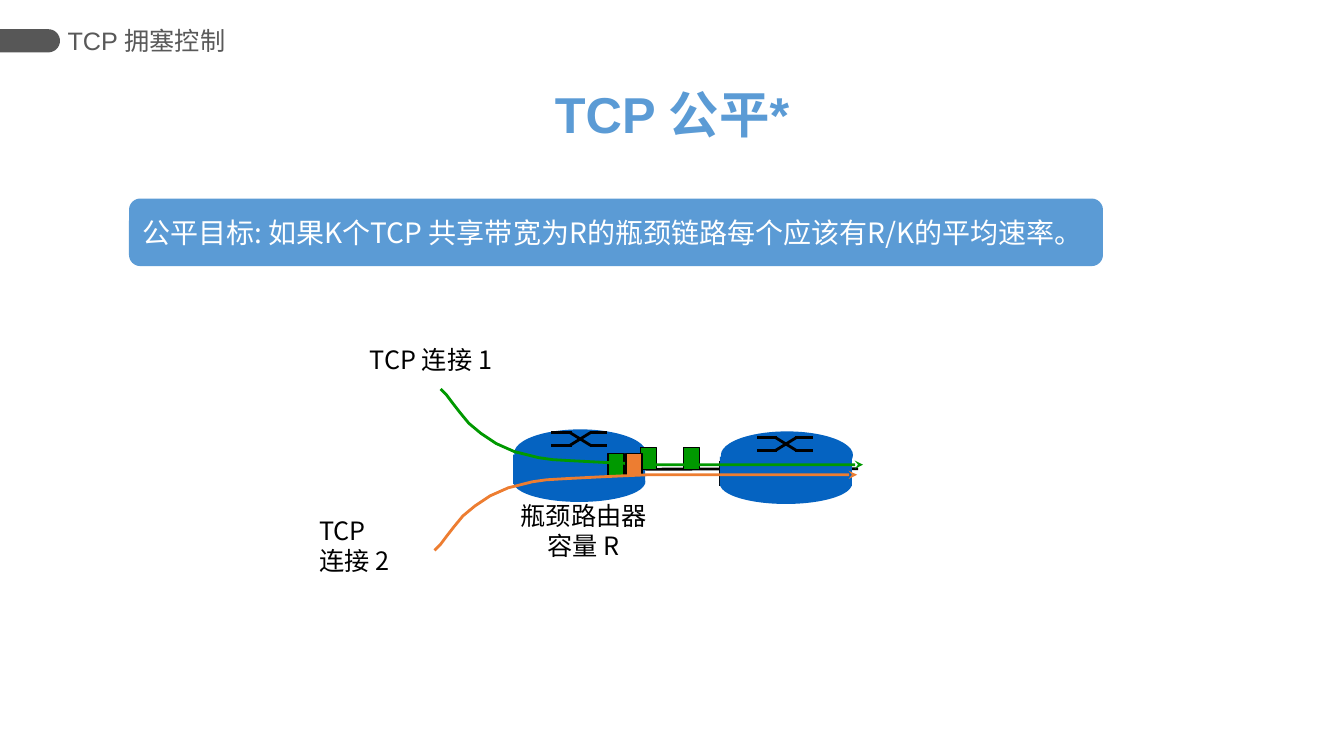
from math import cos, pi, sin

from lxml.etree import SubElement
from pptx import Presentation
from pptx.dml.color import RGBColor
from pptx.enum.shapes import MSO_CONNECTOR, MSO_SHAPE
from pptx.enum.text import MSO_ANCHOR, PP_ALIGN
from pptx.oxml.ns import qn
from pptx.util import Inches, Pt

# The grid has square cells: one column and one row are an inch each.
COLUMN = ROW = Inches(1)
SLIDE_COLUMNS, SLIDE_ROWS = 13.33, 7.5
COLORS = {
    "tab": "575757", "header": "595959", "accent": "5B9BD5", "white": "FFFFFF",
    "black": "000000", "router": "0563C1", "green": "009900", "orange": "ED7D31",
}
CJK_FONT = "Noto Sans CJK SC"

# Steps of a flow from its start; the rise is mirrored for the lower flow.
FLOW_STEPS = [
    (0, 0), (0.06, 0.06), (0.12, 0.14), (0.19, 0.23), (0.28, 0.34), (0.4, 0.44),
    (0.55, 0.54), (0.64, 0.58), (0.73, 0.62), (0.85, 0.65), (0.97, 0.68),
    (1.11, 0.7), (1.28, 0.71), (1.47, 0.72), (1.67, 0.73), (1.89, 0.74),
    (2.12, 0.75), (4.19, 0.75),
]
# Crossed strands of the switch symbol on a router.
SWITCH_STRANDS = [
    (0, 0, 0.2, 0), (0.38, 0.13, 0.55, 0.13), (0.18, 0, 0.39, 0.13),
    (0, 0.13, 0.2, 0.13), (0.38, 0, 0.55, 0), (0.18, 0.13, 0.39, 0),
]


def color(name):
    return RGBColor.from_string(COLORS[name])


def cells(left, top, width, height):
    return (round(left * COLUMN), round(top * ROW),
            round(width * COLUMN), round(height * ROW))


def add_block(slide, kind, box, fill, outline=None):
    shape = slide.shapes.add_shape(kind, *cells(*box))
    shape.shadow.inherit = False
    shape.fill.solid()
    shape.fill.fore_color.rgb = color(fill)
    if outline:
        shape.line.color.rgb = color(outline)
        shape.line.width = Pt(1)
    else:
        shape.line.fill.background()
    return shape


def add_line(slide, start_x, start_y, end_x, end_y, width=2):
    connector = slide.shapes.add_connector(
        MSO_CONNECTOR.STRAIGHT, *cells(start_x, start_y, end_x, end_y))
    connector.line.color.rgb = color("black")
    connector.line.width = Pt(width)
    SubElement(connector._element.spPr, qn("a:effectLst"))
    return connector


def write(shape, lines, size, tint, font=CJK_FONT, bold=False, align=PP_ALIGN.LEFT,
          anchor=MSO_ANCHOR.TOP):
    frame = shape.text_frame
    frame.word_wrap = True
    frame.vertical_anchor = anchor
    for index, line in enumerate(lines):
        paragraph = frame.add_paragraph() if index else frame.paragraphs[0]
        paragraph.alignment = align
        run = paragraph.add_run()
        run.text = line
        run.font.name = font
        run.font.size = Pt(size)
        run.font.bold = bold
        run.font.color.rgb = color(tint)
        SubElement(run.font._element, qn("a:ea"), typeface=CJK_FONT)
    return frame


def add_label(slide, box, lines, size=18, tint="black", **style):
    return write(slide.shapes.add_textbox(*cells(*box)), lines, size, tint, **style)


def add_outline(slide, points, closed):
    corners = [(round(x * COLUMN), round(y * ROW)) for x, y in points]
    builder = slide.shapes.build_freeform(*corners[0])
    builder.add_line_segments(corners[1:], close=closed)
    shape = builder.convert_to_shape()
    shape.shadow.inherit = False
    return shape


def add_header_tab(slide):
    """Bar at the left edge with a half-round right end."""
    radius, center_x, center_y = 0.115, 0.48, 0.405
    angles = [pi * (step / 16 - 0.5) for step in range(17)]
    end = [(center_x + radius * cos(angle), center_y + radius * sin(angle))
           for angle in angles]
    bar = add_outline(
        slide, [(0, center_y - radius), *end, (0, center_y + radius)], True)
    bar.fill.solid()
    bar.fill.fore_color.rgb = color("tab")
    bar.line.fill.background()


def add_router(slide, left, top):
    """Draw a cylinder and return its body."""
    add_block(slide, MSO_SHAPE.OVAL, (left - 0.01, top + 0.32, 1.31, 0.4), "router")
    body = add_block(
        slide, MSO_SHAPE.RECTANGLE, (left - 0.01, top + 0.25, 1.31, 0.29), "router")
    add_block(slide, MSO_SHAPE.OVAL, (left, top, 1.31, 0.47), "router")
    return body


def add_switch_symbol(slide, left, top):
    for start_x, start_y, end_x, end_y in SWITCH_STRANDS:
        add_line(slide, left + start_x, top + start_y, left + end_x, top + end_y)


def add_packet(slide, left, top, fill):
    add_block(slide, MSO_SHAPE.RECTANGLE, (left, top, 0.16, 0.22), fill, "black")


def add_flow(slide, left, top, direction, tint):
    """Arrow that bends down (1) or up (-1) into the shared link."""
    points = [(left + x, top + direction * y) for x, y in FLOW_STEPS]
    flow = add_outline(slide, points, False)
    flow.fill.background()
    flow.line.color.rgb = color(tint)
    flow.line.width = Pt(2)
    SubElement(flow.line._get_or_add_ln(), qn("a:tailEnd"), type="stealth")


def add_network(slide):
    bottleneck = add_router(slide, 5.1, 4.26)
    link = add_line(slide, 6.4, 4.65, 8.51, 4.65)
    link.begin_connect(bottleneck, 3)
    add_switch_symbol(slide, 5.47, 4.29)
    add_line(slide, 7.14, 4.57, 7.14, 4.82, width=1)
    add_router(slide, 7.15, 4.28)
    add_switch_symbol(slide, 7.51, 4.34)
    for left, top in [(6.78, 4.44), (6.03, 4.5), (6.35, 4.44)]:
        add_packet(slide, left, top, "green")
    add_label(slide, (3.57, 3.37, 1.45, 0.4), ["TCP 连接 1"])
    add_label(slide, (5.06, 4.91, 1.46, 0.7), ["瓶颈路由器", "容量 R"],
              align=PP_ALIGN.CENTER)
    add_label(slide, (3.07, 5.06, 0.97, 0.7), ["TCP", "连接 2"])
    add_flow(slide, 4.37, 3.86, 1, "green")
    add_packet(slide, 6.21, 4.5, "orange")
    add_flow(slide, 4.31, 5.46, -1, "orange")


def main():
    presentation = Presentation()
    presentation.slide_width = round(SLIDE_COLUMNS * COLUMN)
    presentation.slide_height = round(SLIDE_ROWS * ROW)
    slide = presentation.slides.add_slide(presentation.slide_layouts[6])

    add_header_tab(slide)
    goal = add_block(
        slide, MSO_SHAPE.ROUNDED_RECTANGLE, (1.28, 1.97, 9.66, 0.67), "accent")
    write(goal, ["公平目标: 如果K个TCP 共享带宽为R的瓶颈链路每个应该有R/K的平均速率。"],
          20, "white", anchor=MSO_ANCHOR.MIDDLE)
    header = add_label(slide, (0.67, 0.19, 2.33, 0.42), ["TCP 拥塞控制"],
                       tint="header", font="Arial", anchor=MSO_ANCHOR.MIDDLE)
    header.margin_left = header.margin_right = 0
    add_label(slide, (5.39, 0.78, 2.55, 0.71), ["TCP 公平*"], 36, "accent",
              font="Arial", bold=True, align=PP_ALIGN.CENTER)
    add_network(slide)
    presentation.save("out.pptx")


if __name__ == "__main__":
    main()
